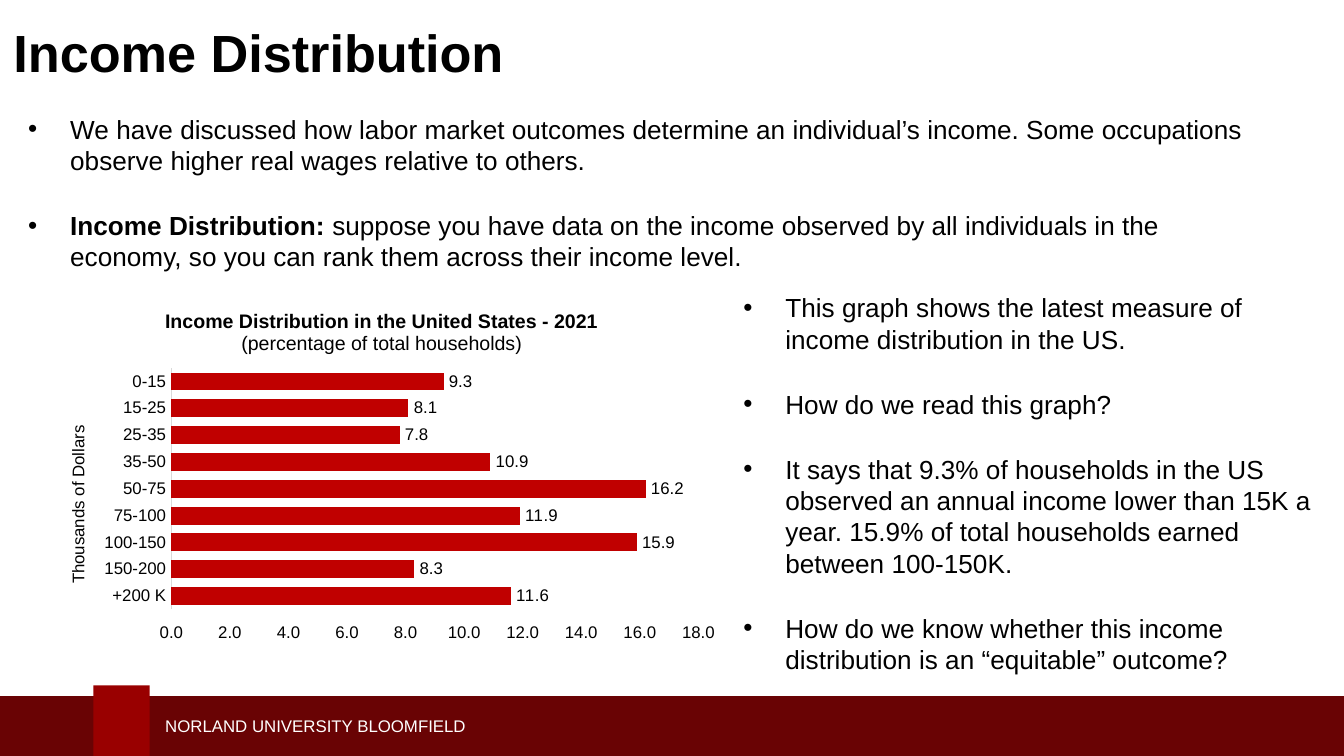
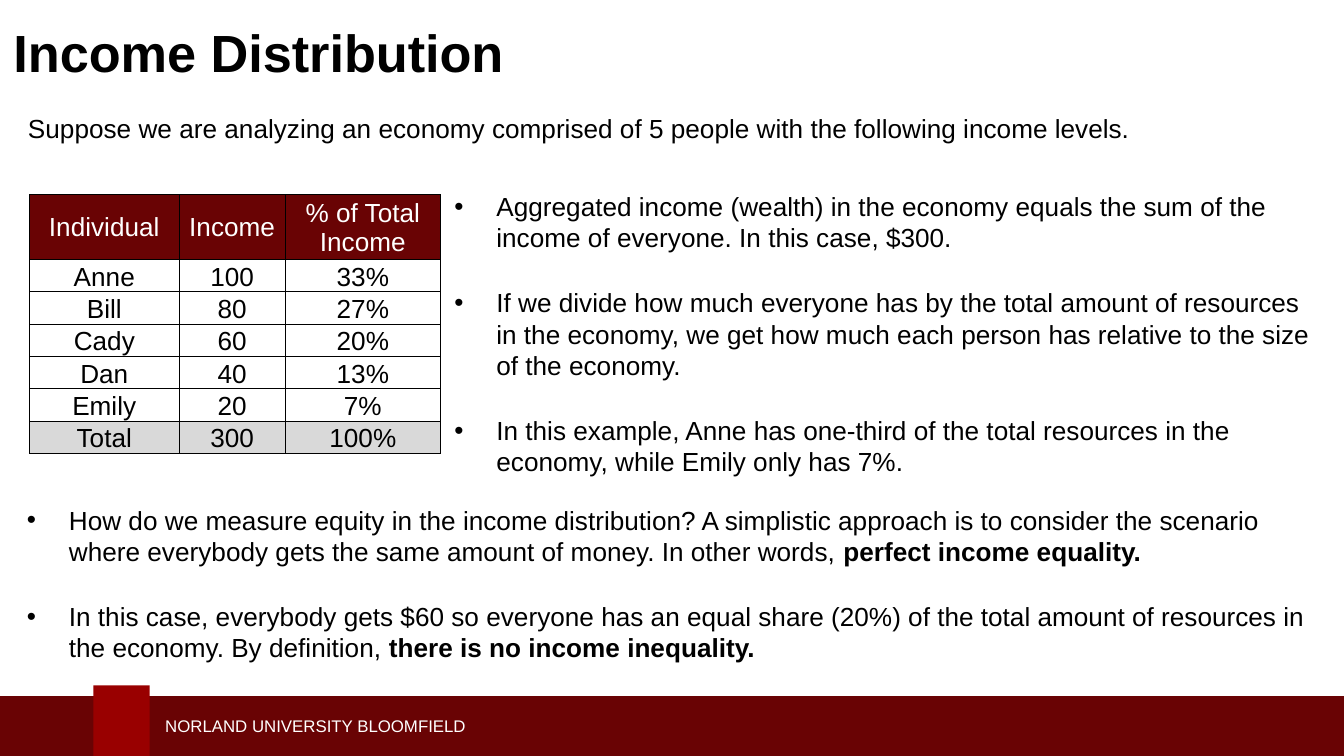
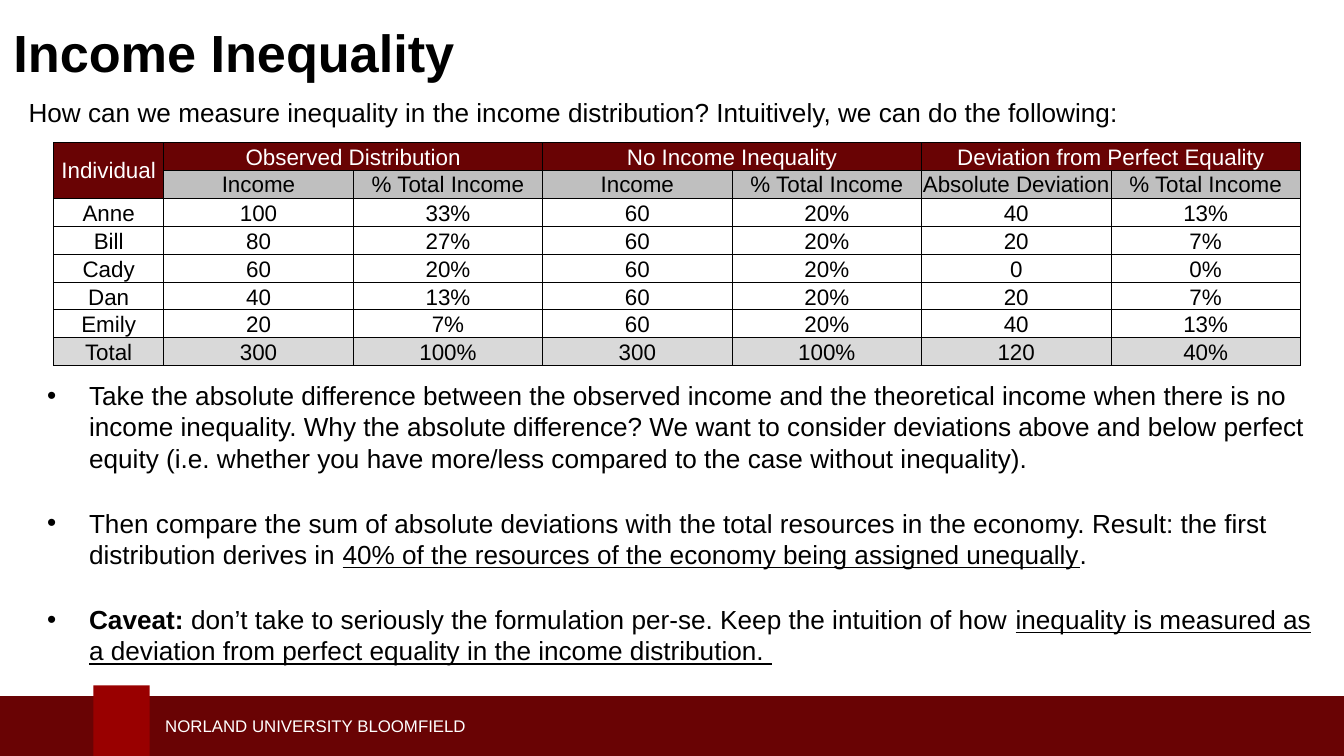
from lxml import etree
from pptx import Presentation
from pptx.chart.data import CategoryChartData
from pptx.dml.color import RGBColor
from pptx.enum.chart import XL_CHART_TYPE, XL_LABEL_POSITION, XL_TICK_LABEL_POSITION, XL_TICK_MARK
from pptx.enum.shapes import MSO_SHAPE
from pptx.enum.text import MSO_ANCHOR, MSO_AUTO_SIZE, PP_ALIGN
from pptx.oxml.ns import qn
from pptx.util import Pt

FONT = "Arial"
BLACK = RGBColor(0x00, 0x00, 0x00)
WHITE = RGBColor(0xFF, 0xFF, 0xFF)
CRIMSON = RGBColor(0x69, 0x03, 0x04)
TAB_RED = RGBColor(0x99, 0x00, 0x00)
BAR_RED = RGBColor(0xC0, 0x00, 0x00)
LIGHT_GRAY = RGBColor(0xD9, 0xD9, 0xD9)
SUBHEAD_GRAY = RGBColor(0xBF, 0xBF, 0xBF)

SLIDE_W, SLIDE_H = 720, 405
TWO_LISTS, ONE_LIST = 3, 1  # template layouts
BOLD, UNDERLINE = {"bold": True}, {"underline": True}
FOOTER = "NORLAND UNIVERSITY BLOOMFIELD"
BANDS = [((-2.2, 373, 726.5, 36), CRIMSON), ((50, 367.2, 30.2, 41.8), TAB_RED)]

# Each list item is a list of (text, format) runs.
SLIDES = [
    {
        "title": "Income Distribution",
        "layout": TWO_LISTS,
        "lists": [
            ((7.9, 56.9, 683.3, 93.6), [
                [("We have discussed how labor market outcomes determine an individual’s income. "
                  "Some occupations observe higher real wages relative to others.", {})],
                [("Income Distribution: ", BOLD),
                 ("suppose you have data on the income observed by all individuals in the "
                  "economy, so you can rank them across their income level.", {})],
            ]),
            ((391, 152.6, 321.8, 214.6), [
                [("This graph shows the latest measure of income distribution in the US.", {})],
                [("How do we read this graph?", {})],
                [("It says that 9.3% of households in the US observed an annual income lower "
                  "than 15K a year. 15.9% of total households earned between 100-150K.", {})],
                [("How do we know whether this income distribution is an “equitable” outcome?", {})],
            ]),
        ],
        "chart": {
            "box": (19.4, 154.8, 371.5, 193),
            "title": [("Income Distribution in the United States - 2021", True),
                      ("(percentage of total households)", False)],
            "axis_title": "Thousands of Dollars",
            "shares": {"0-15": 9.3, "15-25": 8.1, "25-35": 7.8, "35-50": 10.9, "50-75": 16.2,
                       "75-100": 11.9, "100-150": 15.9, "150-200": 8.3, "+200 K": 11.6},
        },
    },
    {
        "title": "Income Distribution",
        "layout": TWO_LISTS,
        "intro": ((7.9, 56.9, 683.3, 24.5),
                  "Suppose we are analyzing an economy comprised of 5 people with the following "
                  "income levels."),
        "lists": [
            ((236.2, 98.4, 476.6, 162.7), [
                [("Aggregated income (wealth) in the economy equals the sum of the income of "
                  "everyone. In this case, $300.", {})],
                [("If we divide how much everyone has by the total amount of resources in the "
                  "economy, we get how much each person has relative to the size of the "
                  "economy.", {})],
                [("In this example, Anne has one-third of the total resources in the economy, "
                  "while Emily only has 7%.", {})],
            ]),
            ((7.2, 266.4, 700.6, 93.6), [
                [("How do we measure equity in the income distribution? A simplistic approach is "
                  "to consider the scenario where everybody gets the same amount of money. In "
                  "other words, ", {}), ("perfect income equality.", BOLD)],
                [("In this case, everybody gets $60 so everyone has an equal share (20%) of the "
                  "total amount of resources in the economy. By definition, ", {}),
                 ("there is no income inequality.", BOLD)],
            ]),
        ],
        "table": {
            "at": (15.8, 104.4), "size": 14,
            "cols": [80.2, 56.8, 83.3],
            "heights": [34.6] + [17.3] * 6,
            "merges": [],
            "rows": [
                ["Individual", "Income", "% of Total Income"],
                ["Anne", "100", "33%"],
                ["Bill", "80", "27%"],
                ["Cady", "60", "20%"],
                ["Dan", "40", "13%"],
                ["Emily", "20", "7%"],
                ["Total", "300", "100%"],
            ],
        },
    },
    {
        "title": "Income Inequality",
        "layout": ONE_LIST,
        "intro": ((8.2, 48.2, 683.3, 24.5),
                  "How can we measure inequality in the income distribution? Intuitively, we can "
                  "do the following:"),
        "lists": [
            ((18, 199.6, 700.6, 162.7), [
                [("Take the absolute difference between the observed income and the theoretical "
                  "income when there is no income inequality. Why the absolute difference? We "
                  "want to consider deviations above and below perfect equity (i.e. whether you "
                  "have more/less compared to the case without inequality).", {})],
                [("Then compare the sum of absolute deviations with the total resources in the "
                  "economy. Result: the first distribution derives in ", {}),
                 ("40% of the resources of the economy being assigned unequally", UNDERLINE),
                 (".", {})],
                [("Caveat: ", BOLD),
                 ("don’t take to seriously the formulation per-se. Keep the intuition of how ", {}),
                 ("inequality is measured as a deviation from perfect equality in the income "
                  "distribution. ", UNDERLINE)],
            ]),
        ],
        "table": {
            "at": (28.7, 76.5), "size": 12,
            "cols": [59.1] + [101.5] * 6,
            "heights": [14.85] * 8,
            "merges": [(0, 0, 1, 0), (0, 1, 0, 2), (0, 3, 0, 4), (0, 5, 0, 6)],
            "rows": [
                ["Individual", "Observed Distribution", "", "No Income Inequality", "",
                 "Deviation from Perfect Equality", ""],
                ["", "Income", "% Total Income", "Income", "% Total Income",
                 "Absolute Deviation", "% Total Income"],
                ["Anne", "100", "33%", "60", "20%", "40", "13%"],
                ["Bill", "80", "27%", "60", "20%", "20", "7%"],
                ["Cady", "60", "20%", "60", "20%", "0", "0%"],
                ["Dan", "40", "13%", "60", "20%", "20", "7%"],
                ["Emily", "20", "7%", "60", "20%", "40", "13%"],
                ["Total", "300", "100%", "300", "100%", "120", "40%"],
            ],
        },
    },
]


def pts(values):
    return [Pt(v) for v in values]


def place(sp, box):
    sp.left, sp.top, sp.width, sp.height = pts(box)


def style(font, size, color=BLACK, **fmt):
    for name, value in {"name": FONT, "size": Pt(size), "bold": False, **fmt}.items():
        setattr(font, name, value)
    font.color.rgb = color


def add_run(p, text, size, color=BLACK, **fmt):
    r = p.add_run()
    r.text = text
    style(r.font, size, color, **fmt)


def space_out(p):
    fmt = {"space_before": Pt(12), "space_after": Pt(6), "line_spacing": 1.0,
           "alignment": PP_ALIGN.LEFT}
    for name, value in fmt.items():
        setattr(p, name, value)


def add_master_band(prs, s):
    """Build the footer band on slide s, then move it to the slide master."""
    parts = []
    for box, color in BANDS:
        sp = s.shapes.add_shape(MSO_SHAPE.RECTANGLE, *pts(box))
        sp.shadow.inherit = False
        sp.fill.solid()
        sp.fill.fore_color.rgb = color
        sp.line.fill.background()
        parts.append(sp)
    label = s.shapes.add_textbox(*pts((81.4, 380, 284.4, 18)))
    label.text_frame.word_wrap = True
    label.text_frame.vertical_anchor = MSO_ANCHOR.MIDDLE
    add_run(label.text_frame.paragraphs[0], FOOTER, 9, WHITE)
    for number, sp in enumerate(parts + [label], 101):
        sp.element.nvSpPr.cNvPr.set("id", str(number))
        prs.slide_master.shapes.element.append(sp.element)


def fill_title(s, text):
    sp = s.shapes.title
    place(sp, (0, 0, SLIDE_W, 55))
    tf = sp.text_frame
    tf.auto_size = MSO_AUTO_SIZE.NONE
    tf.vertical_anchor = MSO_ANCHOR.MIDDLE
    p = tf.paragraphs[0]
    p.alignment = PP_ALIGN.LEFT
    add_run(p, text, 28, bold=True)


def fill_list(sp, box, items):
    place(sp, box)
    tf = sp.text_frame
    tf.word_wrap = True
    tf.auto_size = MSO_AUTO_SIZE.NONE
    for i, runs in enumerate(items):
        p = tf.add_paragraph() if i else tf.paragraphs[0]
        space_out(p)
        pPr = p._p.get_or_add_pPr()
        pPr.set("marL", str(Pt(22.5)))
        pPr.set("indent", str(-Pt(22.5)))
        for text, fmt in runs:
            add_run(p, text, 14, **fmt)


def add_intro(s, box, text):
    tf = s.shapes.add_textbox(*pts(box)).text_frame
    tf.word_wrap = True
    space_out(tf.paragraphs[0])
    add_run(tf.paragraphs[0], text, 14)


def set_layout(parent, **fractions):
    """Place a chart part by fractions of the chart's width and height."""
    layout = parent.find(qn("c:layout"))
    if layout is None:
        layout = etree.Element(qn("c:layout"))
        parent.insert(0 if parent.find(qn("c:tx")) is None else 1, layout)
    manual = etree.SubElement(layout, qn("c:manualLayout"))
    if "w" in fractions:
        etree.SubElement(manual, qn("c:layoutTarget")).set("val", "inner")
    for key in ("x", "y"):
        etree.SubElement(manual, qn(f"c:{key}Mode")).set("val", "edge")
    for key, value in fractions.items():
        etree.SubElement(manual, qn(f"c:{key}")).set("val", str(value))


def add_income_chart(s, box, title, axis_title, shares):
    data = CategoryChartData(number_format="##0.0")
    data.categories = list(shares)
    data.add_series("Series 1", list(shares.values()))
    chart = s.shapes.add_chart(XL_CHART_TYPE.BAR_CLUSTERED, *pts(box), data).chart
    style(chart.font, 9)
    chart.has_legend = False
    set_layout(chart.element.find(".//" + qn("c:plotArea")), x=0.195, y=0.22, w=0.76, h=0.67)

    tf = chart.chart_title.text_frame
    for i, (text, bold) in enumerate(title):
        p = tf.add_paragraph() if i else tf.paragraphs[0]
        add_run(p, text, 10.5, bold=bold)
    set_layout(chart.chart_title.element, x=0.18, y=0.04)

    plot = chart.plots[0]
    plot.gap_width = 50
    plot.vary_by_categories = False
    bars = plot.series[0].format.fill
    bars.solid()
    bars.fore_color.rgb = BAR_RED
    plot.has_data_labels = True
    labels = plot.data_labels
    labels.show_value = True
    labels.number_format, labels.number_format_is_linked = "##0.0", False
    labels.position = XL_LABEL_POSITION.OUTSIDE_END
    style(labels.font, 9)

    cat, val = chart.category_axis, chart.value_axis
    for axis in (cat, val):
        axis.major_tick_mark = axis.minor_tick_mark = XL_TICK_MARK.NONE
        axis.has_major_gridlines = False
        style(axis.tick_labels.font, 9)
    cat.reverse_order = True
    cat.format.line.color.rgb = LIGHT_GRAY
    cat.format.line.width = Pt(0.75)
    add_run(cat.axis_title.text_frame.paragraphs[0], axis_title, 9)
    cat.axis_title.element.find(".//" + qn("a:bodyPr")).set("rot", "-5400000")
    set_layout(cat.axis_title.element, x=0.04, y=0.37)
    val.minimum_scale, val.maximum_scale, val.major_unit = 0, 18, 2
    # The reversed categories put the high end at the bottom.
    val.tick_label_position = XL_TICK_LABEL_POSITION.HIGH
    val.tick_labels.number_format = "##0.0"
    val.tick_labels.number_format_is_linked = False
    val.format.line.fill.background()


def add_borders(cell):
    tcPr = cell._tc.get_or_add_tcPr()
    for side in ("lnL", "lnR", "lnT", "lnB"):
        ln = etree.SubElement(tcPr, qn(f"a:{side}"), w=str(Pt(0.5)))
        solid = etree.SubElement(ln, qn("a:solidFill"))
        etree.SubElement(solid, qn("a:srgbClr"), val=str(BLACK))


def row_look(label, row, col):
    """Return fill, text colour and anchor for a cell, given its row's first label."""
    if row == 0:
        return CRIMSON, WHITE, MSO_ANCHOR.MIDDLE
    if not label:
        return SUBHEAD_GRAY if col else CRIMSON, BLACK, MSO_ANCHOR.MIDDLE
    return LIGHT_GRAY if label == "Total" else None, BLACK, MSO_ANCHOR.BOTTOM


def add_income_table(s, at, size, cols, heights, merges, rows):
    box = (*at, sum(cols), sum(heights))
    table = s.shapes.add_table(len(rows), len(cols), *pts(box)).table
    table.first_row = table.horz_banding = False
    for lines, lengths, side in ((table.columns, cols, "width"), (table.rows, heights, "height")):
        for line, length in zip(lines, lengths):
            setattr(line, side, Pt(length))
    for i, row in enumerate(rows):
        for j, text in enumerate(row):
            cell = table.cell(i, j)
            fill, color, anchor = row_look(row[0], i, j)
            add_borders(cell)
            fmt = {"margin_left": Pt(0.5), "margin_right": Pt(0.5), "margin_top": Pt(0.5),
                   "margin_bottom": 0, "vertical_anchor": anchor}
            for name, value in fmt.items():
                setattr(cell, name, value)
            if fill is None:
                cell.fill.background()
            else:
                cell.fill.solid()
                cell.fill.fore_color.rgb = fill
            p = cell.text_frame.paragraphs[0]
            p.alignment = PP_ALIGN.CENTER
            style(p.font, size, color)
            if text:
                add_run(p, text, size, color)
    for top, left, bottom, right in merges:
        table.cell(top, left).merge(table.cell(bottom, right))


def main():
    prs = Presentation()
    prs.slide_width, prs.slide_height = Pt(SLIDE_W), Pt(SLIDE_H)
    for i, content in enumerate(SLIDES):
        s = prs.slides.add_slide(prs.slide_layouts[content["layout"]])
        if i == 0:
            add_master_band(prs, s)
        fill_title(s, content["title"])
        if "intro" in content:
            add_intro(s, *content["intro"])
        bodies = [sp for sp in s.placeholders if sp.placeholder_format.idx]
        for sp, (box, items) in zip(bodies, content["lists"]):
            fill_list(sp, box, items)
        if "chart" in content:
            add_income_chart(s, **content["chart"])
        if "table" in content:
            add_income_table(s, **content["table"])
    prs.save("out.pptx")


if __name__ == "__main__":
    main()
